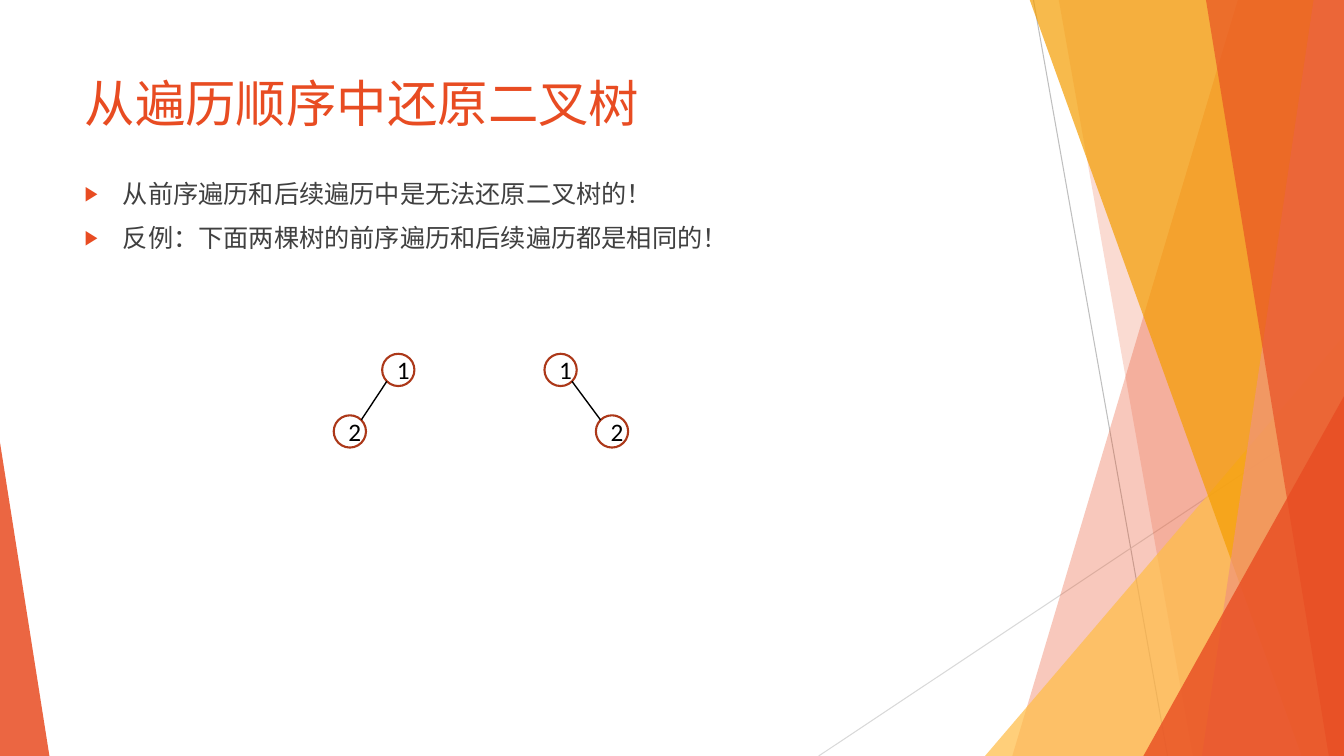
from lxml import etree
from pptx import Presentation
from pptx import util as u
from pptx.dml.color import RGBColor
from pptx.enum import shapes, text
from pptx.oxml import ns

ORANGE, GOLD, AMBER, SALMON = "E84C22", "FFBD47", "F49D00", "F1947A"
RING, BLACK, WHITE, GREY = "AC3819", "000000", "FFFFFF", "404040"
RIGHT, TOP, BOTTOM = 13.33, -0.01, 7.5
NODE = 0.32
CORNER = NODE * (1 - 0.5 ** 0.5) / 2


def rgb(value):
    return RGBColor.from_string(value)


def child(parent, tag, **attrs):
    return etree.SubElement(parent, ns.qn(tag), attrs)


class Deck:
    """Holds the font and the current slide and draws each kind of element."""

    def __init__(self, prs, font):
        self.font = font
        self.slide = prs.slides.add_slide(prs.slide_layouts[5])
        self.shapes = self.slide.shapes

    def set_text(self, p, words, size, color):
        p.text = words
        for r in p.runs:
            r.font.size = u.Pt(size)
            r.font.name = self.font
            r.font.color.rgb = rgb(color)

    def fill(self, sp, color, alpha=100):
        sp.shadow.inherit = False
        sp.fill.solid()
        sp.fill.fore_color.rgb = rgb(color)
        sp.line.fill.background()
        if alpha < 100:
            clr = sp._element.spPr.find(ns.qn("a:solidFill")).find(ns.qn("a:srgbClr"))
            child(clr, "a:alpha", val=str(alpha * 1000))

    def line(self, start, end, color, width):
        ends = [u.Inches(v) for v in (*start, *end)]
        c = self.shapes.add_connector(shapes.MSO_CONNECTOR.STRAIGHT, *ends)
        c.line.color.rgb = rgb(color)
        c.line.width = u.Pt(width)
        child(c._element.spPr, "a:effectLst")

    def band(self, top_x, bottom_x, color, alpha):
        points = [(top_x, TOP), (RIGHT, TOP), (RIGHT, BOTTOM), (bottom_x, BOTTOM)]
        points = [(u.Inches(x), u.Inches(y)) for x, y in points]
        builder = self.shapes.build_freeform(*points[0])
        builder.add_line_segments(points[1:], close=True)
        self.fill(builder.convert_to_shape(), color, alpha)

    def triangle(self, left, top, width, apex, color, alpha):
        box = [u.Inches(v) for v in (left, top, width, BOTTOM - top)]
        sp = self.shapes.add_shape(shapes.MSO_SHAPE.ISOSCELES_TRIANGLE, *box)
        sp.adjustments[0] = apex
        self.fill(sp, color, alpha)

    def title(self, words, left, top, width, height):
        sp = self.shapes.title
        sp.left, sp.top = u.Inches(left), u.Inches(top)
        sp.width, sp.height = u.Inches(width), u.Inches(height)
        tf = sp.text_frame
        tf.word_wrap = True
        tf.auto_size = text.MSO_AUTO_SIZE.NONE
        tf.vertical_anchor = text.MSO_ANCHOR.TOP
        p = tf.paragraphs[0]
        self.set_text(p, words, 36, ORANGE)
        p.alignment = text.PP_ALIGN.LEFT

    def bullets(self, items, left, top, width, height):
        box = [u.Inches(v) for v in (left, top, width, height)]
        tf = self.shapes.add_textbox(*box).text_frame
        tf.word_wrap = True
        for i, words in enumerate(items):
            p = tf.add_paragraph() if i else tf.paragraphs[0]
            self.set_text(p, words, 18, GREY)
            p.space_before = u.Pt(10)
            pPr = p._p.get_or_add_pPr()
            pPr.set("marL", str(u.Inches(0.38)))
            pPr.set("indent", str(u.Inches(-0.38)))
            child(child(pPr, "a:buClr"), "a:srgbClr", val=ORANGE)
            child(pPr, "a:buSzPct", val="80000")
            child(pPr, "a:buFont", typeface=self.font)
            child(pPr, "a:buChar", char="▶")

    def node(self, label, left, top):
        box = [u.Inches(v) for v in (left, top, NODE, NODE)]
        sp = self.shapes.add_shape(shapes.MSO_SHAPE.OVAL, *box)
        self.fill(sp, WHITE)
        sp.line.color.rgb = rgb(RING)
        sp.line.width = u.Pt(1.5)
        tf = sp.text_frame
        tf.vertical_anchor = text.MSO_ANCHOR.MIDDLE
        p = tf.paragraphs[0]
        self.set_text(p, label, 18, BLACK)
        p.alignment = text.PP_ALIGN.CENTER

    def tree(self, root_x, child_x, root_y=3.51, child_y=4.12):
        self.node("1", root_x, root_y)
        self.node("2", child_x, child_y)
        near, far = CORNER, NODE - CORNER
        out, into = (near, far) if child_x < root_x else (far, near)
        self.line((root_x + out, root_y + far),
                  (child_x + into, child_y + near), BLACK, 1)


def main():
    prs = Presentation()
    prs.slide_width, prs.slide_height = u.Inches(13.33), u.Inches(7.5)
    deck = Deck(prs, "Calibri")

    deck.line((10.25, 0), (11.58, BOTTOM), "BFBFBF", 0.75)
    deck.line((RIGHT, 4.03), (8.12, BOTTOM), "D9D9D9", 0.75)
    deck.band(12.28, 10.04, ORANGE, 30)
    deck.band(10.5, 11.83, ORANGE, 20)
    deck.triangle(9.77, 3.33, 3.56, 1, GOLD, 72)
    for band in [(10.21, 12.91, AMBER, 70), (13.03, 11.92, SALMON, 70),
                 (11.96, 13.18, ORANGE, 65)]:
        deck.band(*band)
    deck.triangle(11.34, 3.93, 1.99, 1, ORANGE, 80)
    deck.triangle(0, 4.39, 0.49, 0, ORANGE, 85)

    deck.title("从遍历顺序中还原二叉树", 0.74, 0.67, 9.4, 0.78)
    deck.bullets(["从前序遍历和后续遍历中是无法还原二叉树的！",
                  "反例：下面两棵树的前序遍历和后续遍历都是相同的！"],
                 0.74, 1.72, 9.4, 4.89)
    deck.tree(3.79, 3.31)
    deck.tree(5.4, 5.91)
    prs.save("out.pptx")


if __name__ == "__main__":
    main()
